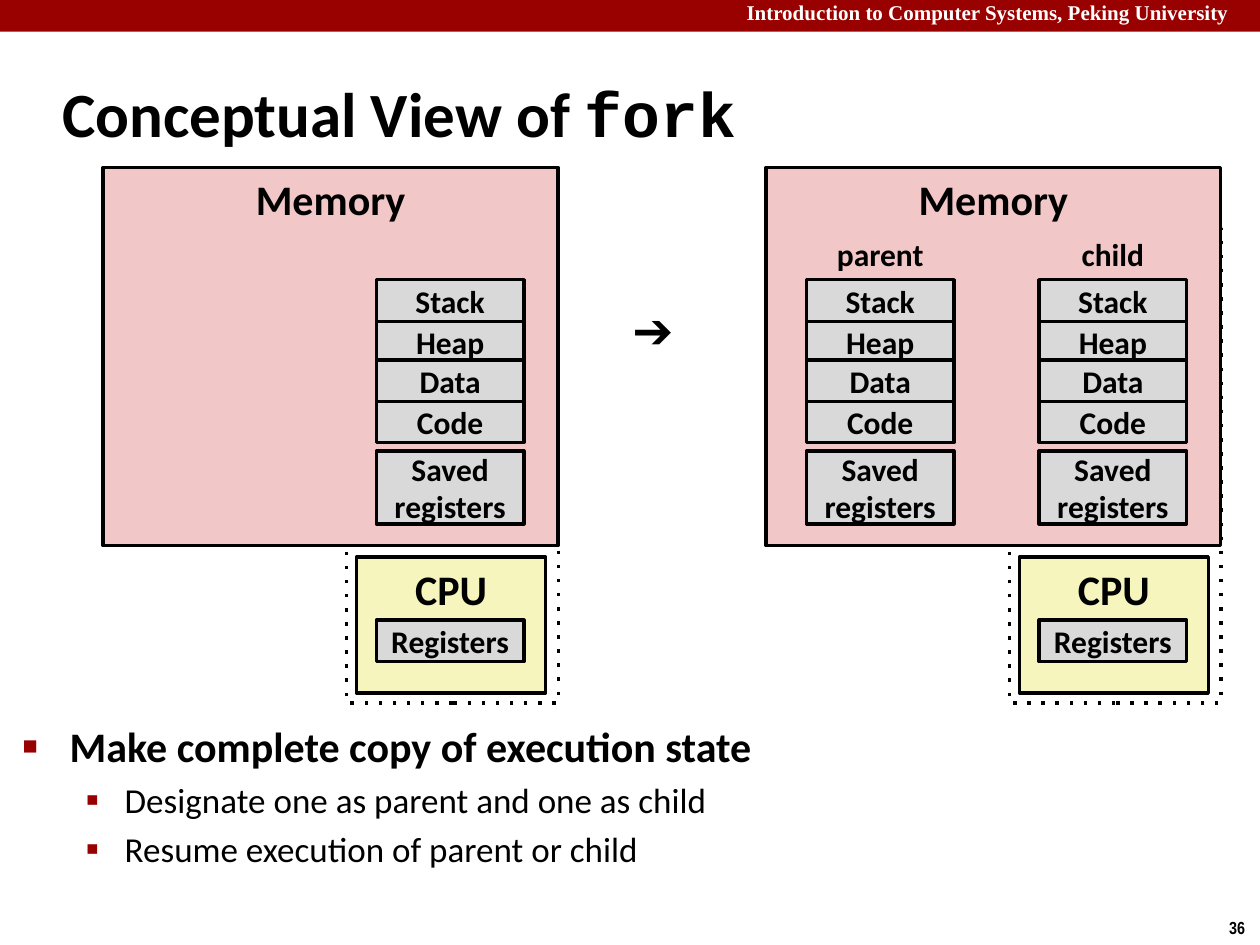
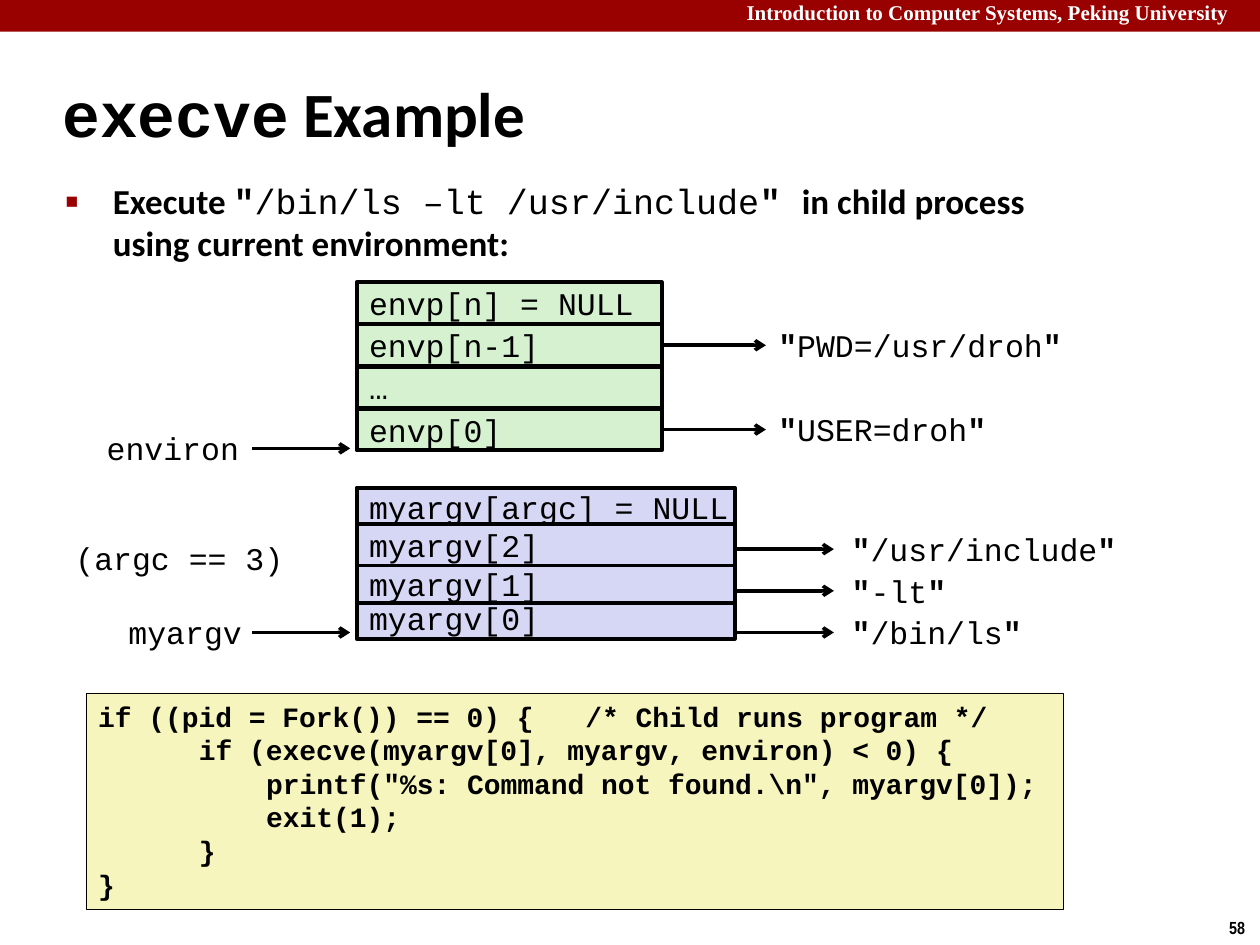
from lxml.etree import SubElement
from pptx import Presentation
from pptx.dml.color import RGBColor
from pptx.enum.dml import MSO_LINE
from pptx.enum.shapes import MSO_CONNECTOR, MSO_SHAPE
from pptx.enum.text import MSO_ANCHOR, MSO_AUTO_SIZE, PP_ALIGN
from pptx.oxml.ns import qn
from pptx.util import Cm, Pt

RED, BLACK, WHITE = "990000", "000000", "FFFFFF"
PINK, GRAY, CREAM = "F1C7C7", "D9D9D9", "F6F5BD"
GREEN, LILAC = "D5F1CF", "D6D6F5"
SANS, MONO = "Calibri", "Courier New"
BULLETS = [("■", 60, 0.95, 0.95), ("▪", 110, 2.06, 0.79)]


def tint(code):
    return RGBColor.from_string(code)


def write(para, text, font=SANS, size=18, bold=False, color=BLACK):
    run = para.add_run()
    run.text = text
    run.font.name, run.font.size, run.font.bold = font, Pt(size), bold
    run.font.color.rgb = tint(color)


class Deck:
    """Holds the style of the deck and the slide being built."""

    def __init__(self):
        self.prs = Presentation()
        self.prs.slide_width, self.prs.slide_height = Cm(25.4), Cm(19.05)
        self.slide = None

    def start(self, number, title):
        self.slide = self.prs.slides.add_slide(self.prs.slide_layouts[1])
        self.box(0, 0, 25.4, 0.64, fill=RED, line=None)
        self.label(14.8, -0.13, 10.6, 0.76, "Introduction to Computer Systems, Peking University",
                   font="Times New Roman", size=12, bold=True, color=WHITE)
        self.label(24.53, 18.36, 0.87, 0.69, number, wrap=False,
                   font="Arial Narrow", size=10, bold=True)
        head = self.place(self.slide.shapes.title, 1, 1.22, 21.08, 2.1)
        head.vertical_anchor = MSO_ANCHOR.MIDDLE
        para = head.paragraphs[0]
        para.alignment = PP_ALIGN.LEFT
        for text, font in title:
            write(para, text, font=font, size=36, bold=True)

    def place(self, holder, x, y, w, h):
        holder.left, holder.top, holder.width, holder.height = Cm(x), Cm(y), Cm(w), Cm(h)
        frame = holder.text_frame
        frame.auto_size = MSO_AUTO_SIZE.NONE
        return frame

    def body(self, x, y, w, h, items):
        frame = self.place(self.slide.placeholders[1], x, y, w, h)
        for i, (level, size, runs) in enumerate(items):
            para = frame.add_paragraph() if i else frame.paragraphs[0]
            para.level, para.space_before = level, Pt(size * 0.2)
            self.bullet(para, level)
            for text, style in runs:
                write(para, text, size=size, **style)

    def bullet(self, para, level):
        char, scale, left, hang = BULLETS[level]
        props = para._p.get_or_add_pPr()
        props.set("marL", str(Cm(left)))
        props.set("indent", str(-Cm(hang)))
        SubElement(SubElement(props, qn("a:buClr")), qn("a:srgbClr"), val=RED)
        SubElement(props, qn("a:buSzPct"), val=str(scale * 1000))
        SubElement(props, qn("a:buFont"), typeface="Arial")
        SubElement(props, qn("a:buChar"), char=char)

    def box(self, x, y, w, h, text="", fill=None, line=2, dots=False,
            top=False, left=False, wrap=True, **style):
        shape = self.slide.shapes.add_shape(MSO_SHAPE.RECTANGLE, Cm(x), Cm(y), Cm(w), Cm(h))
        shape.shadow.inherit = False
        if fill:
            shape.fill.solid()
            shape.fill.fore_color.rgb = tint(fill)
        else:
            shape.fill.background()
        if line:
            shape.line.color.rgb, shape.line.width = tint(BLACK), Pt(line)
        else:
            shape.line.fill.background()
        if dots:
            shape.line.dash_style = MSO_LINE.ROUND_DOT
            shape._element.xpath("./p:spPr/a:ln/a:prstDash")[0].set("val", "dot")
        frame = shape.text_frame
        frame.word_wrap = wrap
        frame.vertical_anchor = MSO_ANCHOR.TOP if top else MSO_ANCHOR.MIDDLE
        frame.paragraphs[0].alignment = PP_ALIGN.LEFT if left else PP_ALIGN.CENTER
        if text:
            write(frame.paragraphs[0], text, **style)
        return shape

    def label(self, x, y, w, h, text="", wrap=True, center=False, **style):
        frame = self.slide.shapes.add_textbox(Cm(x), Cm(y), Cm(w), Cm(h)).text_frame
        frame.word_wrap = wrap
        para = frame.paragraphs[0]
        para.alignment = PP_ALIGN.CENTER if center else PP_ALIGN.LEFT
        if text:
            write(para, text, **style)
        return para

    def quote(self, x, y, text):
        para = self.label(x, y, 6.25, 1.02)
        for part, bold in (('"', True), (text, False), ('"', True)):
            write(para, part, font=MONO, bold=bold)

    def arrow(self, x, end, y, source=None):
        link = self.slide.shapes.add_connector(MSO_CONNECTOR.STRAIGHT, Cm(x), Cm(y), Cm(end), Cm(y))
        if source:
            link.begin_connect(source, 3)
        link.line.color.rgb, link.line.width = tint(BLACK), Pt(2)
        SubElement(link.line._get_or_add_ln(), qn("a:tailEnd"), type="arrow")
        SubElement(link._element.spPr, qn("a:effectLst"))

    def code(self, x, y, w, h, lines, stop):
        shape = self.box(x, y, w, h, fill=CREAM, line=0.25, top=True, left=True)
        frame = shape.text_frame
        for i, (indent, text) in enumerate(lines):
            para = frame.add_paragraph() if i else frame.paragraphs[0]
            para.alignment = PP_ALIGN.LEFT
            props = para._p.get_or_add_pPr()
            props.set("marL", str(Pt(9.6 * indent)))
            if "\t" in text:
                tabs = SubElement(props, qn("a:tabLst"))
                SubElement(tabs, qn("a:tab"), pos=str(Pt(9.6 * stop)), algn="l")
            write(para, text, font=MONO, size=16, bold=True)

    def stack(self, x):
        rows = [("Stack", 5.64, 0.84), ("Heap", 6.48, 0.84), ("Code", 8.08, 0.84),
                ("Data", 7.26, 0.84), ("Saved registers", 9.09, 1.47)]
        for text, y, h in rows:
            self.box(x, y, 2.97, h, text, fill=GRAY, bold=True)

    def machine(self, x):
        self.box(x + 4.91, 4.62, 4.27, 9.55, dots=True)
        self.box(x + 5.11, 11.23, 3.81, 2.74, "CPU", fill=CREAM, top=True, size=24, bold=True)
        self.box(x + 5.51, 12.5, 2.97, 0.84, "Registers", fill=GRAY, bold=True)
        self.box(x, 3.38, 9.17, 7.62, "Memory", fill=PINK, top=True, size=24, bold=True)
        self.stack(x + 5.51)

    def cell(self, y, w, h, text, fill):
        return self.box(7.19, y, w, h, text, fill=fill, line=2.25, left=True,
                        wrap=False, font=MONO)


def fork(deck):
    deck.start("36", [("Conceptual View of ", SANS), ("fork", MONO)])
    deck.body(0.2, 14.4, 21.95, 3.68, [
        (0, 24, [("Make complete copy of execution state", {"bold": True})]),
        (1, 20, [("Designate one as parent and one as child", {})]),
        (1, 20, [("Resume execution of parent or child", {})])])
    for x in (2.08, 15.44):
        deck.machine(x)
    deck.stack(16.26)
    for x, text in ((16.26, "parent"), (20.95, "child")):
        deck.label(x, 4.62, 2.97, 1.02, text, center=True, bold=True)
    deck.label(12.5, 5.92, 1.57, 1.45, "➔", font="Arial", size=28, bold=True)


def execve(deck):
    deck.start("58", [("execve", MONO), (" Example", SANS)])
    strong, plain = {"bold": True}, {"font": MONO}
    mark = {**strong, **plain}
    deck.body(1.07, 3.5, 21.03, 1.27, [(0, 20, [
        ("Execute ", strong), ('"', mark), ("/bin/ls –lt /usr/include", plain),
        ('" ', mark), ("in child process using current environment:", strong)])])

    values = {"envp[n-1]": "PWD=/usr/droh", "envp[0]": "USER=droh"}
    for i, text in enumerate(("envp[n] = NULL", "envp[n-1]", "…", "envp[0]")):
        y = 5.69 + 0.85 * i
        row = deck.cell(y, 6.15, 0.84, text, GREEN)
        if text in values:
            deck.arrow(13.34, 15.44, y + 0.42, row)
            deck.quote(15.44, y - 0.1, values[text])

    for text, y, h in (("myargv[argc] = NULL", 9.83, 0.76), ("myargv[2]", 10.57, 0.84),
                       ("myargv[0]", 12.04, 0.84), ("myargv[1]", 11.4, 0.76)):
        deck.cell(y, 7.62, h, text, LILAC)
    for i, text in enumerate(("/usr/include", "-lt", "/bin/ls")):
        y = 11.07 + 0.84 * i
        deck.arrow(14.81, 16.81, y)
        deck.quote(16.92, y - 0.51, text)

    for x, y, w, text in ((1.9, 8.53, 3.3, "environ"), (2.34, 12.24, 2.9, "myargv"),
                          (1.27, 10.74, 4.8, "(argc == 3)")):
        deck.label(x, y, w, 1.02, text, font=MONO)
    for y in (9.04, 12.75):
        deck.arrow(5.08, 7.06, y)

    deck.code(1.73, 13.97, 19.71, 4.37, [
        (0, "if ((pid = Fork()) == 0) {\t/* Child runs program */"),
        (6, "if (execve(myargv[0], myargv, environ) < 0) {"),
        (10, 'printf("%s: Command not found.\\n", myargv[0]);'),
        (10, "exit(1);"),
        (6, "}"),
        (0, "}")], stop=29)


def main():
    deck = Deck()
    fork(deck)
    execve(deck)
    deck.prs.save("out.pptx")


if __name__ == "__main__":
    main()
